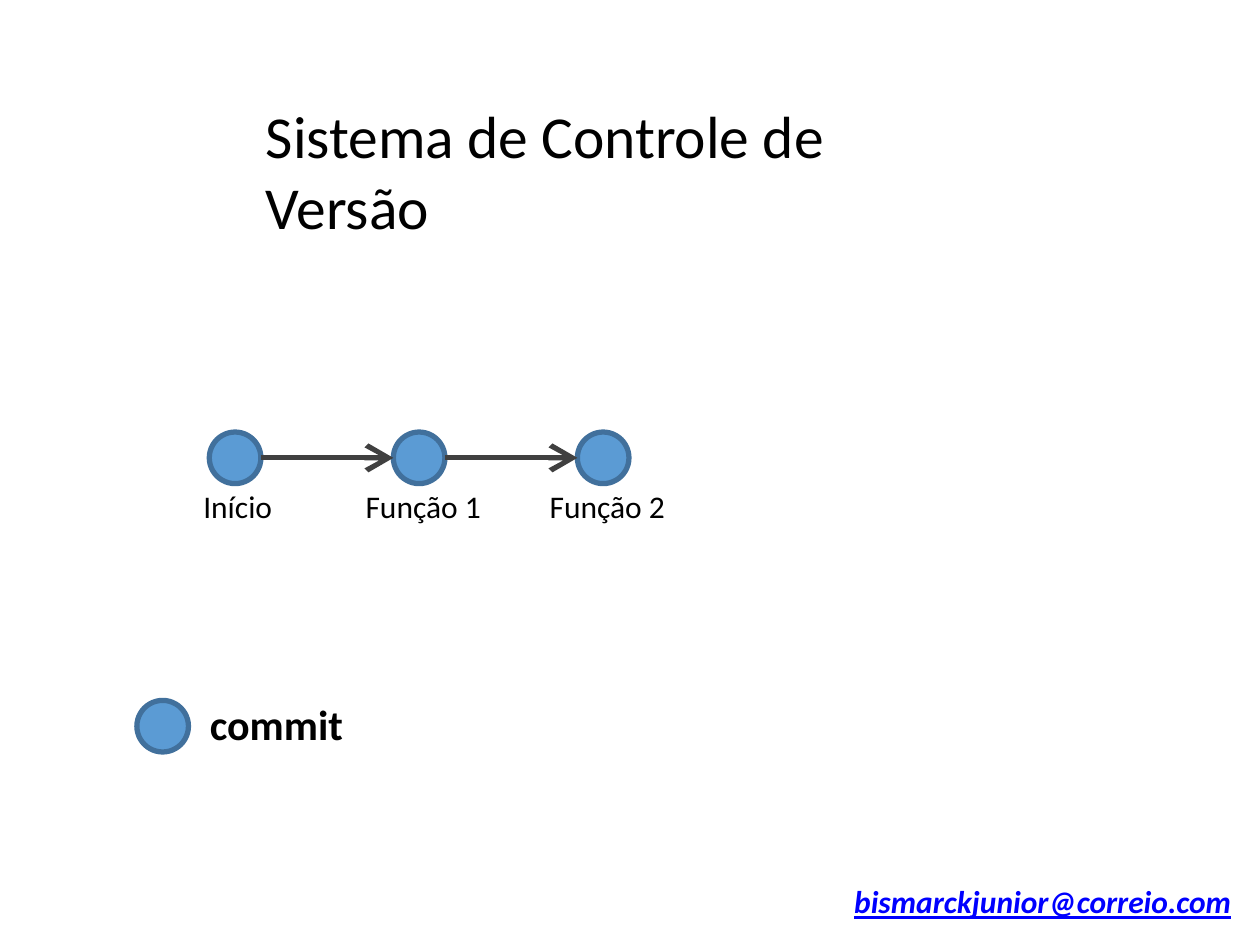
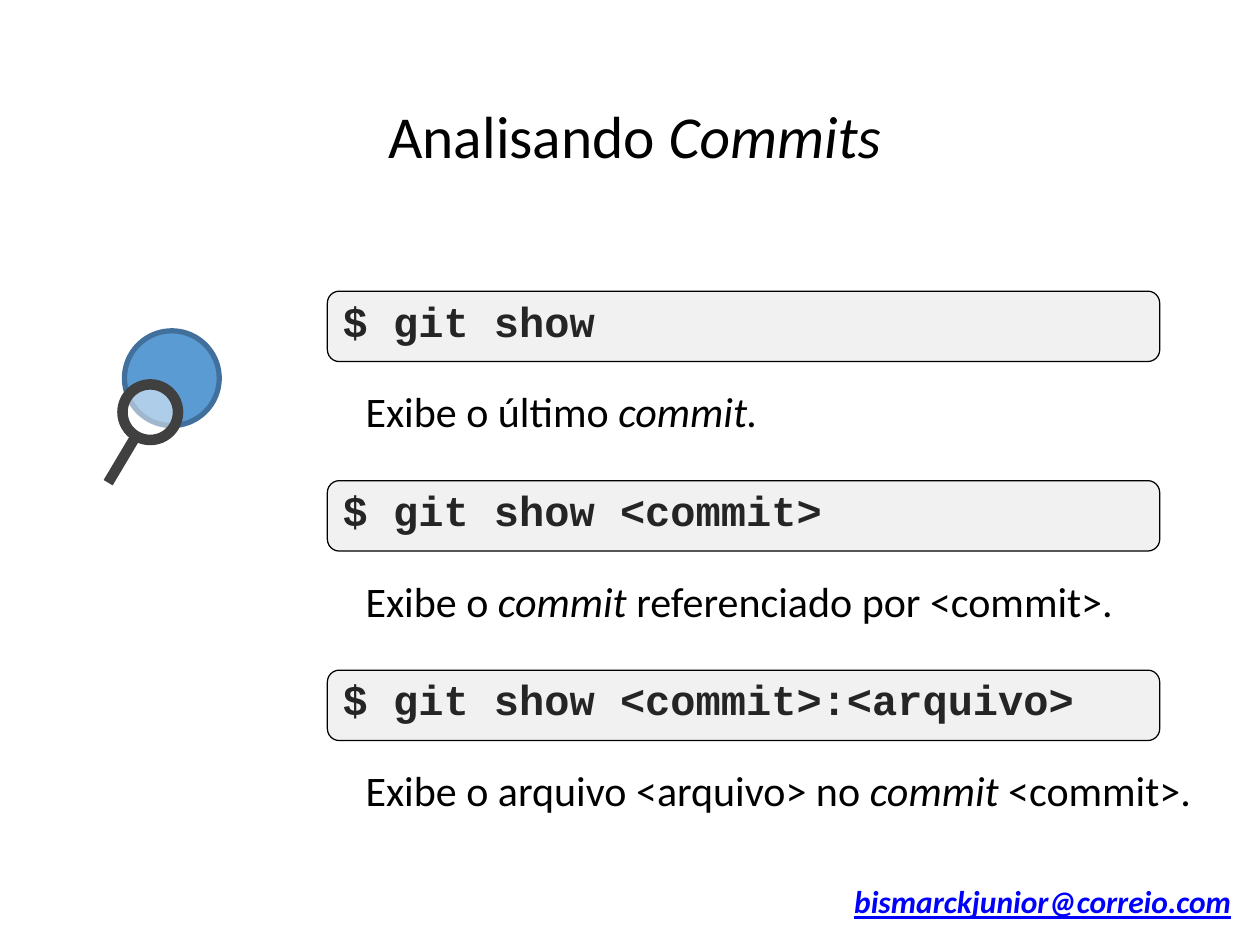
from pptx import Presentation
from pptx.dml.color import RGBColor
from pptx.enum import shapes, text
from pptx.oxml import ns, xmlchemy
from pptx.util import Cm, Pt

HUE = {
    "ink": "000000", "code": "252525", "link": "0000FF", "disc": "5B9BD4",
    "rim": "41709C", "dark": "404040", "pale": "F1F1F1", "lens": "FFFFFF",
}
SANS, MONO = "Calibri", "Courier New"
MAIL = "bismarckjunior@correio.com"


def rgb(name):
    return RGBColor.from_string(HUE[name])


def node(tag, **attrs):
    item = xmlchemy.OxmlElement(tag)
    for key, val in attrs.items():
        item.set(key, val)
    return item


class Deck:
    def __init__(self):
        self.prs = Presentation()
        self.prs.slide_width, self.prs.slide_height = Cm(25.4), Cm(19.05)

    def page(self, runs, x, width, inset=0):
        """Start a slide with its title and mail footer."""
        self.slide = self.prs.slides.add_slide(self.prs.slide_layouts[5])
        title = self.slide.shapes.title
        title.left, title.top = Cm(x), Cm(1.96)
        title.width, title.height = Cm(width), Cm(1.5)
        frame = self.frame(title)
        frame.margin_left = Cm(inset)
        self.fill(frame.paragraphs[0], runs, 34)
        foot = self.label([(MAIL, "biu")], 17.22, 17.88, 7.85, 0.71, 18, "link")
        foot.line_spacing = Pt(18.1)

    def frame(self, shape):
        frame = shape.text_frame
        frame.margin_left = frame.margin_right = frame.margin_bottom = 0
        frame.margin_top = Cm(0.03)
        frame.word_wrap = True
        frame.auto_size = text.MSO_AUTO_SIZE.NONE
        frame.vertical_anchor = text.MSO_ANCHOR.TOP
        return frame

    def fill(self, par, runs, size, hue="ink", face=SANS):
        """Add (words, style) runs; the style holds letters out of b, i, u."""
        par.alignment = text.PP_ALIGN.LEFT
        for words, style in runs:
            run = par.add_run()
            run.text = words
            font = run.font
            font.name, font.size = face, Pt(size)
            font.color.rgb = rgb(hue)
            font.bold, font.italic = "b" in style, "i" in style
            font.underline = "u" in style

    def area(self, x, y, width, height):
        box = self.slide.shapes.add_textbox(Cm(x), Cm(y), Cm(width), Cm(height))
        return self.frame(box)

    def label(self, runs, x, y, width, height, size, hue="ink"):
        par = self.area(x, y, width, height).paragraphs[0]
        self.fill(par, runs, size, hue)
        return par

    def shape(self, kind, x, y, width, height, fill, line, weight):
        item = self.slide.shapes.add_shape(kind, Cm(x), Cm(y), Cm(width), Cm(height))
        item.shadow.inherit = False
        item.fill.solid()
        item.fill.fore_color.rgb = rgb(fill)
        item.line.color.rgb = rgb(line)
        item.line.width = Pt(weight)
        return item

    def disc(self, x, y, size, fill="disc", line="rim", weight=3):
        return self.shape(shapes.MSO_SHAPE.OVAL, x, y, size, size, fill, line, weight)

    def panel(self, x, y, width, height):
        item = self.shape(shapes.MSO_SHAPE.ROUNDED_RECTANGLE, x, y, width, height,
                          "pale", "ink", 0.72)
        item.adjustments[0] = 0.17

    def line(self, x1, y1, x2, y2, weight):
        item = self.slide.shapes.add_connector(
            shapes.MSO_CONNECTOR.STRAIGHT, Cm(x1), Cm(y1), Cm(x2), Cm(y2))
        item.line.color.rgb = rgb("dark")
        item.line.width = Pt(weight)
        item._element.spPr.append(node("a:effectLst"))
        return item

    def arrow(self, x1, x2, y):
        item = self.line(x1, y, x2, y, 3)
        edge = item._element.spPr.find(ns.qn("a:ln"))
        edge.append(node("a:tailEnd", type="arrow", w="lg", len="lg"))


def history(deck):
    deck.page([("Sistema de Controle de Versão", "")], 5.36, 14.5)
    size, step, left, top = 1.04, 3.71, 4.22, 8.71
    for i in range(3):
        x = left + i * step
        deck.disc(x, top, size)
        if i:
            deck.arrow(x - step + size, x, top + size / 2)
    for name, x in (("Início", 4.1), ("Função 1", 7.37), ("Função 2", 11.08)):
        deck.label([(name, "")], x, 9.79, 2.6, 0.84, 18)
    deck.disc(2.76, 14.12, size)
    deck.label([("commit", "b")], 4.23, 14.06, 3, 1.09, 24)


def glass(deck):
    """Draw a commit under a magnifying glass."""
    deck.disc(2.51, 6.67, 1.91)
    lens = deck.disc(2.47, 7.75, 1.12, "lens", "dark", 6)
    tint = lens._element.spPr.find(ns.qn("a:solidFill"))[0]
    tint.append(node("a:alpha", val="50000"))
    deck.line(2.74, 8.79, 2.18, 9.73, 6)


def show(deck):
    deck.page([("Analisando ", ""), ("Commits", "i")], 2.24, 20.93, 5.59)
    glass(deck)
    for i in range(3):
        deck.panel(6.6, 5.87 + i * 3.82, 16.78, 1.42)
    usage = [
        ("$ git show", [("Exibe o último ", ""), ("commit.", "i")]),
        ("$ git show <commit>", [
            ("Exibe o ", ""), ("commit ", "i"), ("referenciado por <commit>.", "")]),
        ("$ git show <commit>:<arquivo>", [
            ("Exibe o arquivo <arquivo> no ", ""), ("commit ", "i"), ("<commit>.", "")]),
    ]
    frame = deck.area(6.91, 5.92, 17.91, 11.46)
    for i, (code, note) in enumerate(usage):
        par = frame.add_paragraph() if i else frame.paragraphs[0]
        par.space_before = Pt(27.6 if i else 1)
        deck.fill(par, [(code, "b")], 24, "code", MONO)
        par = frame.add_paragraph()
        par.space_before = Pt(23)
        par._p.get_or_add_pPr().set("marL", str(Cm(0.46)))
        deck.fill(par, note, 24)


def main():
    deck = Deck()
    history(deck)
    show(deck)
    deck.prs.save("out.pptx")


if __name__ == "__main__":
    main()
